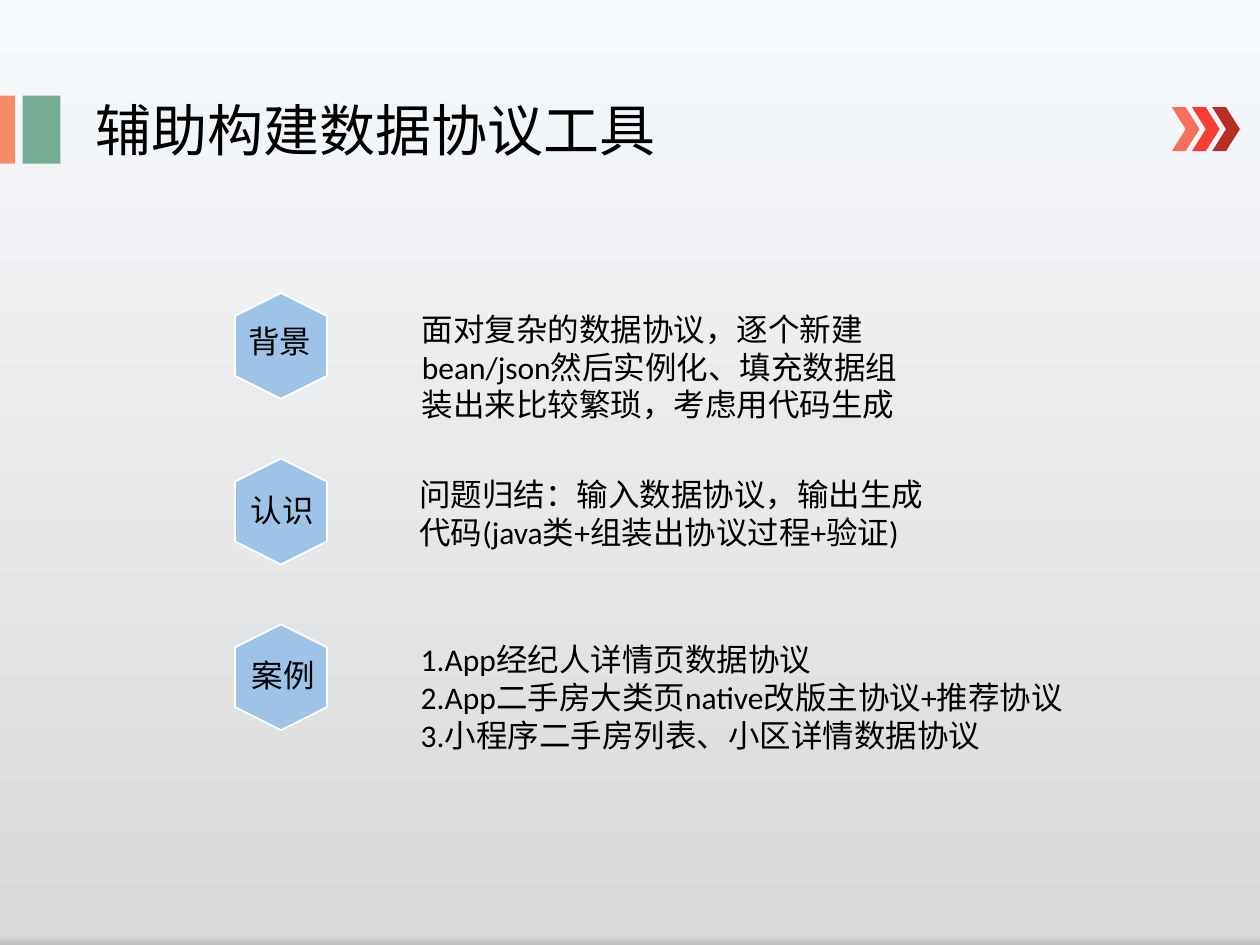
from copy import deepcopy
from dataclasses import dataclass

from pptx import Presentation
from pptx.dml.color import RGBColor
from pptx.enum.shapes import MSO_SHAPE
from pptx.enum.text import MSO_ANCHOR, MSO_AUTO_SIZE, PP_ALIGN
from pptx.util import Inches, Pt

COLS, ROWS = 100, 75
WIDE, HIGH = Inches(10), Inches(7.5)


@dataclass(frozen=True)
class Theme:
    font: str = "Calibri"
    head: int = 32
    body: int = 18
    ink: str = "000000"
    edge: str = "FFFFFF"
    hex: str = "9DC3E6"
    bars: tuple = ("F58C65", "74AD93")
    marks: tuple = ("F5715B", "F93D32", "B82E24")
    back: tuple = ((0, "F7FAFD"), (0.99, "D9D9D9"), (1, "BFBFBF"))


THEME = Theme()

ITEMS = (
    ("背景", (18.7, 25.1), (32.5, 24.1, 41.6, 10.1),
     ("面对复杂的数据协议，逐个新建bean/json然后实例化、填充数据组装出来比较繁琐，考虑用代码生成",)),
    ("认识", (18.9, 38.5), (32.3, 37.2, 43, 7.1),
     ("问题归结：输入数据协议，输出生成代码(java类+组装出协议过程+验证)",)),
    ("案例", (19, 51.6), (32.4, 50.3, 54.1, 10.1),
     ("1.App经纪人详情页数据协议",
      "2.App二手房大类页native改版主协议+推荐协议",
      "3.小程序二手房列表、小区详情数据协议")),
)


def place(col, row, wide, high):
    return (int(WIDE * col / COLS), int(HIGH * row / ROWS),
            int(WIDE * wide / COLS), int(HIGH * high / ROWS))


def tint(fill, color):
    fill.solid()
    fill.fore_color.rgb = RGBColor.from_string(color)


def add_form(shapes, kind, box, color, edge=None):
    form = shapes.add_shape(kind, *place(*box))
    form.shadow.inherit = False
    tint(form.fill, color)
    if edge:
        tint(form.line.fill, edge)
        form.line.width = Pt(1)
    else:
        form.line.fill.background()
    return form


def write(frame, lines, size):
    frame.word_wrap = True
    frame.auto_size = MSO_AUTO_SIZE.NONE
    frame.vertical_anchor = MSO_ANCHOR.TOP
    for i, line in enumerate(lines):
        para = frame.add_paragraph() if i else frame.paragraphs[0]
        para.alignment = PP_ALIGN.LEFT
        run = para.add_run()
        run.text = line
        run.font.name = THEME.font
        run.font.size = Pt(size)
        run.font.color.rgb = RGBColor.from_string(THEME.ink)


def add_text(slide, box, lines):
    write(slide.shapes.add_textbox(*place(*box)).text_frame, lines, THEME.body)


def set_back(slide):
    fill = slide.background.fill
    fill.gradient()
    fill.gradient_angle = 270
    stops = slide.element.xpath(".//a:gsLst")[0]
    stops.append(deepcopy(stops[-1]))
    for stop, (spot, color) in zip(fill.gradient_stops, THEME.back):
        stop.position = spot
        stop.color.rgb = RGBColor.from_string(color)


def set_title(slide, text):
    title = slide.shapes.title
    title.left, title.top, title.width, title.height = place(6.6, 7.1, 69.7, 6.4)
    write(title.text_frame, (text,), THEME.head)


def add_bars(slide):
    group = slide.shapes.add_group_shape()
    for (col, wide), color in zip(((0, 1.2), (1.8, 3)), THEME.bars):
        add_form(group.shapes, MSO_SHAPE.RECTANGLE, (col, 7.6, wide, 5.4), color)


def add_marks(slide):
    group = slide.shapes.add_group_shape()
    for i, color in enumerate(THEME.marks):
        add_form(group.shapes, MSO_SHAPE.CHEVRON,
                 (93 + 1.6 * i, 8.5, 2.2, 3.5), color)


def add_item(slide, i, label, spot, box, lines):
    form = add_form(slide.shapes, MSO_SHAPE.HEXAGON,
                    (18.1, 23.8 + 13.15 * i, 8.4, 7.3), THEME.hex, THEME.edge)
    form.rotation = 90
    add_text(slide, (*spot, 13.9, 4), (label,))
    add_text(slide, box, lines)


def main():
    deck = Presentation()
    deck.slide_width, deck.slide_height = WIDE, HIGH
    slide = deck.slides.add_slide(deck.slide_layouts.get_by_name("Title Only"))
    set_back(slide)
    add_bars(slide)
    set_title(slide, "辅助构建数据协议工具")
    add_marks(slide)
    for i, item in enumerate(ITEMS):
        add_item(slide, i, *item)
    deck.save("out.pptx")


if __name__ == "__main__":
    main()
